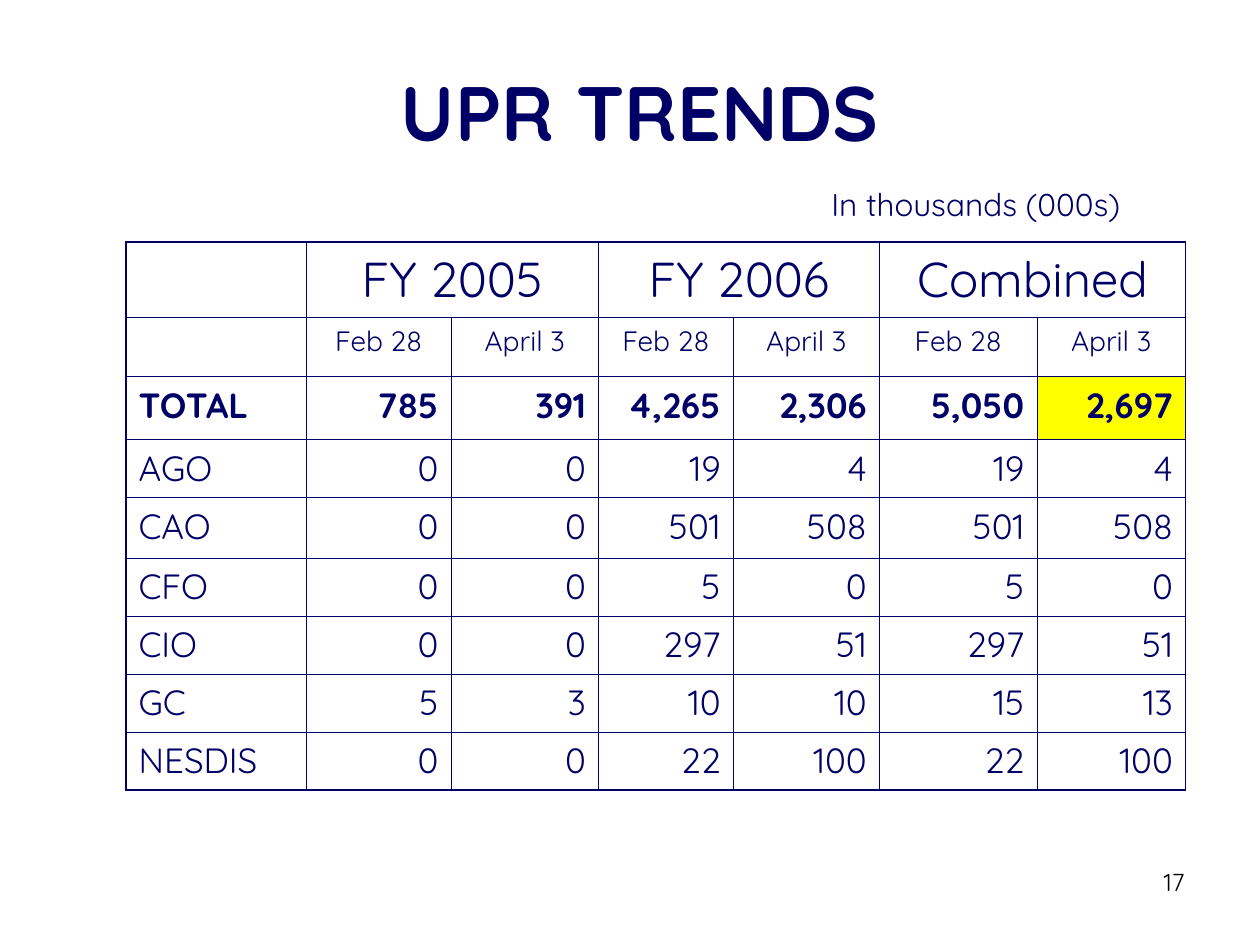
from lxml import etree
from pptx import Presentation
from pptx.dml.color import RGBColor
from pptx.enum.text import MSO_ANCHOR, PP_ALIGN
from pptx.oxml.ns import qn
from pptx.util import Inches, Pt

LEFT, CENTER, RIGHT = PP_ALIGN.LEFT, PP_ALIGN.CENTER, PP_ALIGN.RIGHT
MIDDLE = MSO_ANCHOR.MIDDLE
FONT, NAVY, BLACK, YELLOW = "Quicksand", "000066", "000000", "FFFF00"
THIN, THICK = 0.45, 1.08

TITLE = "UPR TRENDS"
UNITS = "In thousands (000s)"
PAGE_NUMBER = "17"
PERIODS = ["FY 2005", "FY 2006", "Combined"]
DATES = ["Feb 28", "April 3"]
OFFICES = [
    ("TOTAL", "785", "391", "4,265", "2,306", "5,050", "2,697"),
    ("AGO", "0", "0", "19", "4", "19", "4"),
    ("CAO", "0", "0", "501", "508", "501", "508"),
    ("CFO", "0", "0", "5", "0", "5", "0"),
    ("CIO", "0", "0", "297", "51", "297", "51"),
    ("GC", "5", "3", "10", "10", "15", "13"),
    ("NESDIS", "0", "0", "22", "100", "22", "100"),
]
COLUMN_WIDTHS = [1.43, 1.15, 1.17, 1.07, 1.16, 1.25, 1.18]
ROW_HEIGHTS = [0.6, 0.47, 0.5, 0.46, 0.48, 0.46, 0.46, 0.46, 0.46]
HIGHLIGHT = (2, 6)


def color(value):
    return RGBColor.from_string(value)


def write(frame, text, size, align, bold=False, ink=NAVY):
    para = frame.paragraphs[0]
    para.alignment = align
    span = para.add_run()
    span.text = text
    for name, value in {"name": FONT, "size": Pt(size), "bold": bold}.items():
        setattr(span.font, name, value)
    span.font.color.rgb = color(ink)


def add_text(page, box, text, size, align, ink):
    frame = page.shapes.add_textbox(*map(Inches, box)).text_frame
    frame.word_wrap = True
    write(frame, text, size, align, ink=ink)


def set_borders(cell, weights):
    properties = cell._tc.get_or_add_tcPr()
    for side, weight in weights.items():
        line = etree.SubElement(properties, qn(f"a:ln{side}"), w=str(Pt(weight)))
        fill = etree.SubElement(line, qn("a:solidFill"))
        etree.SubElement(fill, qn("a:srgbClr"), val=NAVY)


def add_trends(page):
    rows, columns = len(ROW_HEIGHTS), len(COLUMN_WIDTHS)
    size = sum(COLUMN_WIDTHS), sum(ROW_HEIGHTS)
    table = page.shapes.add_table(
        rows, columns, *map(Inches, (1, 1.92, *size))
    ).table
    table.first_row = table.horz_banding = False
    for column, width in zip(table.columns, COLUMN_WIDTHS):
        column.width = Inches(width)
    for row, height in zip(table.rows, ROW_HEIGHTS):
        row.height = Inches(height)

    for r in range(rows):
        for c in range(columns):
            cell = table.cell(r, c)
            set_borders(cell, {
                "L": THICK if c == 0 else THIN,
                "R": THICK if c == columns - 1 else THIN,
                "T": THICK if r == 0 else THIN,
                "B": THICK if r == rows - 1 else THIN,
            })
            if (r, c) == HIGHLIGHT:
                cell.fill.solid()
                cell.fill.fore_color.rgb = color(YELLOW)
            else:
                cell.fill.background()

    for index, period in enumerate(PERIODS):
        first = 1 + index * len(DATES)
        table.cell(0, first).merge(table.cell(0, first + len(DATES) - 1))
        write(table.cell(0, first).text_frame, period, 28, CENTER)
        for offset, date in enumerate(DATES):
            write(table.cell(1, first + offset).text_frame, date, 16, CENTER)
    for r, office in enumerate(OFFICES, start=2):
        for c, text in enumerate(office):
            align = RIGHT if c else LEFT
            write(table.cell(r, c).text_frame, text, 20, align, office[0] == "TOTAL")


def main():
    deck = Presentation()
    deck.slide_width, deck.slide_height = Inches(10), Inches(7.5)
    page = deck.slides.add_slide(deck.slide_layouts[5])

    title = page.shapes.title
    title.left, title.top, title.width, title.height = map(
        Inches, (0.58, 0.25, 9, 1.25)
    )
    title.text_frame.vertical_anchor = MIDDLE
    write(title.text_frame, TITLE, 44, CENTER, True)

    add_trends(page)
    add_text(page, (6.5, 1.42, 3, 0.7), UNITS, 18, LEFT, NAVY)
    add_text(page, (7.17, 6.83, 2.33, 0.52), PAGE_NUMBER, 14, RIGHT, BLACK)
    deck.save("out.pptx")


if __name__ == "__main__":
    main()
